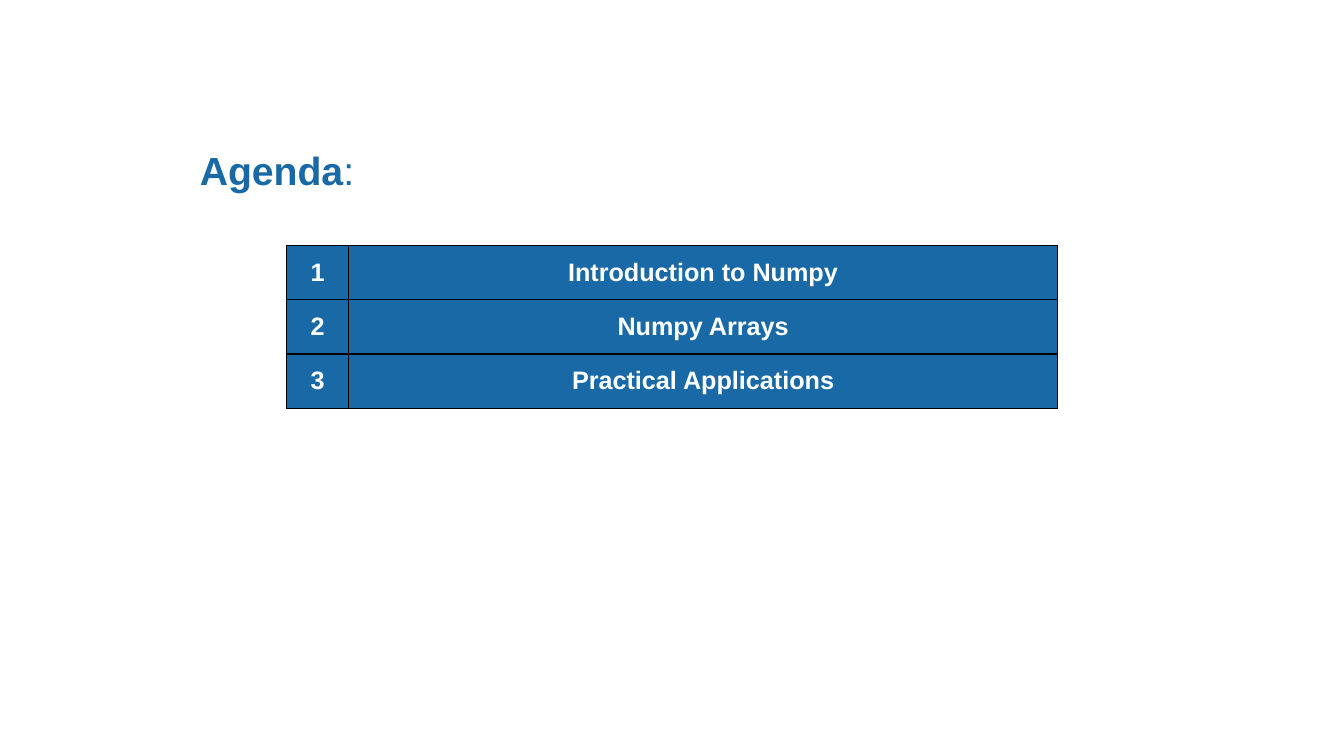
from dataclasses import dataclass

from lxml import etree
from pptx import Presentation
from pptx.dml.color import RGBColor
from pptx.enum.text import MSO_ANCHOR, MSO_AUTO_SIZE, PP_ALIGN
from pptx.oxml.ns import qn
from pptx.util import Cm, Pt

LEFT, CENTER = PP_ALIGN.LEFT, PP_ALIGN.CENTER
TOP, MIDDLE = MSO_ANCHOR.TOP, MSO_ANCHOR.MIDDLE
FIT_SHAPE = MSO_AUTO_SIZE.SHAPE_TO_FIT_TEXT
TITLE_ONLY = 5

TOPICS = ["Introduction to Numpy", "Numpy Arrays", "Practical Applications"]


@dataclass(frozen=True)
class Theme:
    font: str = "Arial"
    blue: str = "1869A6"
    white: str = "FFFFFF"
    border: str = "000000"
    title_size: int = 28
    topic_size: int = 18
    border_width: int = 1


def add_text(paragraph, text, *, font, size, color, bold=False, align=LEFT):
    paragraph.alignment = align
    run = paragraph.add_run()
    run.text = text
    run.font.name = font
    run.font.size = Pt(size)
    run.font.bold = bold
    run.font.color.rgb = RGBColor.from_string(color)


class AgendaSlide:
    def __init__(self, slide, theme):
        self.slide = slide
        self.theme = theme

    def title(self, word, mark, left, top, width, height):
        """Write a bold word followed by a regular mark in the title placeholder."""
        heading = self.slide.shapes.title
        heading.left, heading.top = Cm(left), Cm(top)
        heading.width, heading.height = Cm(width), Cm(height)
        frame = heading.text_frame
        frame.word_wrap = True
        frame.auto_size = FIT_SHAPE
        frame.vertical_anchor = TOP
        for text, bold in ((word, True), (mark, False)):
            add_text(frame.paragraphs[0], text, font=self.theme.font,
                     size=self.theme.title_size, color=self.theme.blue, bold=bold)

    def numbered_table(self, topics, left, top, column_widths, row_height):
        table = self.slide.shapes.add_table(
            len(topics), len(column_widths), Cm(left), Cm(top),
            Cm(sum(column_widths)), Cm(row_height * len(topics))).table
        table.first_row = table.horz_banding = False
        for column, width in zip(table.columns, column_widths):
            column.width = Cm(width)
        for number, (row, topic) in enumerate(zip(table.rows, topics), start=1):
            row.height = Cm(row_height)
            for cell, text in zip(row.cells, (str(number), topic)):
                self.cell(cell, text)

    def cell(self, cell, text):
        self.borders(cell)
        cell.fill.solid()
        cell.fill.fore_color.rgb = RGBColor.from_string(self.theme.blue)
        cell.vertical_anchor = MIDDLE
        add_text(cell.text_frame.paragraphs[0], text, font=self.theme.font,
                 size=self.theme.topic_size, color=self.theme.white,
                 bold=True, align=CENTER)

    def borders(self, cell):
        properties = cell._tc.get_or_add_tcPr()
        for side in ("a:lnL", "a:lnR", "a:lnT", "a:lnB"):
            line = etree.SubElement(properties, qn(side),
                                    w=str(Pt(self.theme.border_width)))
            fill = etree.SubElement(line, qn("a:solidFill"))
            etree.SubElement(fill, qn("a:srgbClr"), val=self.theme.border)


def main():
    deck = Presentation()
    deck.slide_width, deck.slide_height = Cm(33.87), Cm(19.05)
    slide = deck.slides.add_slide(deck.slide_layouts[TITLE_ONLY])
    agenda = AgendaSlide(slide, Theme())
    agenda.title("Agenda", ":", left=4.78, top=3.56, width=4.85, height=1.45)
    agenda.numbered_table(TOPICS, left=7.22, top=6.18,
                          column_widths=(1.57, 17.86), row_height=1.37)
    deck.save("out.pptx")


if __name__ == "__main__":
    main()
